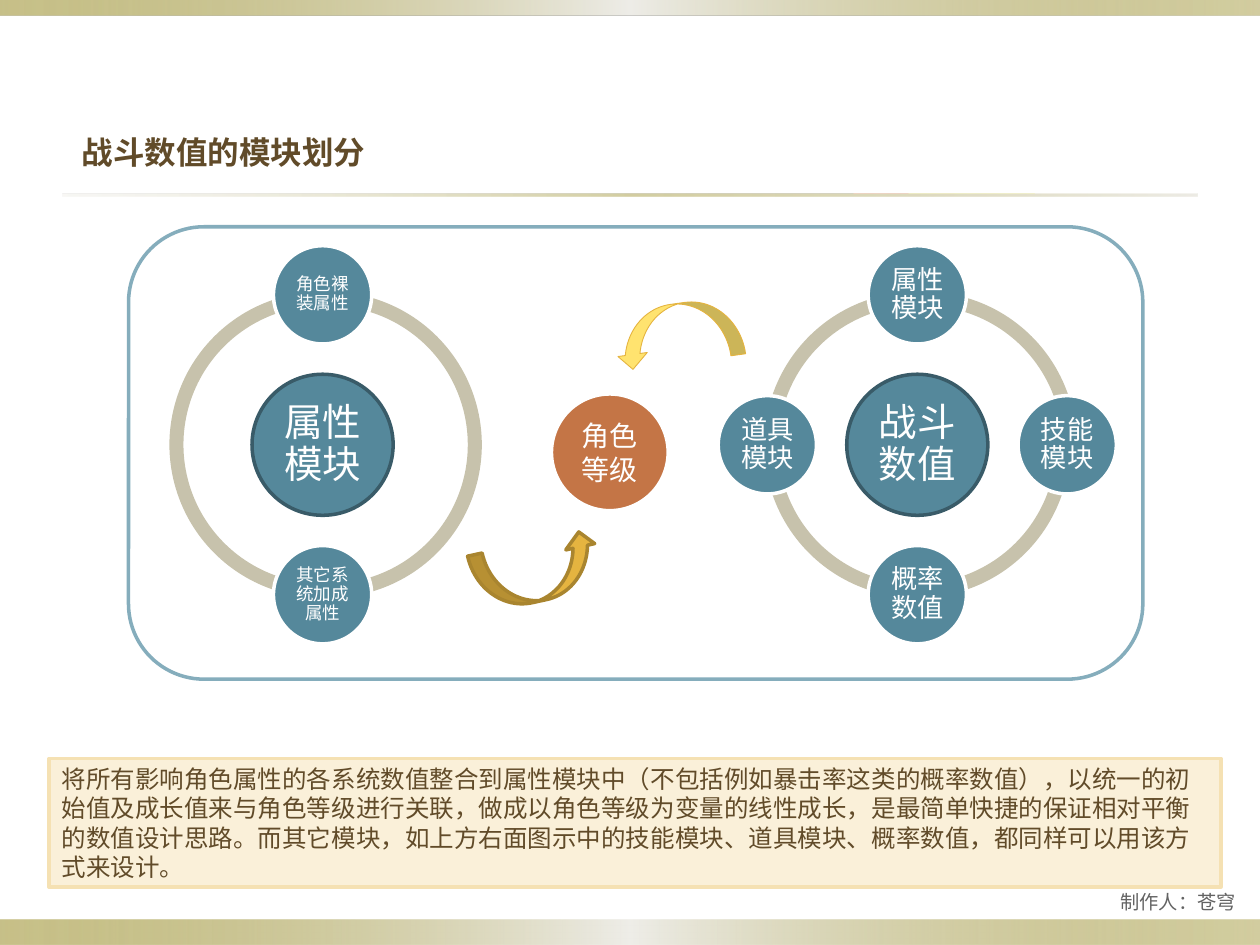
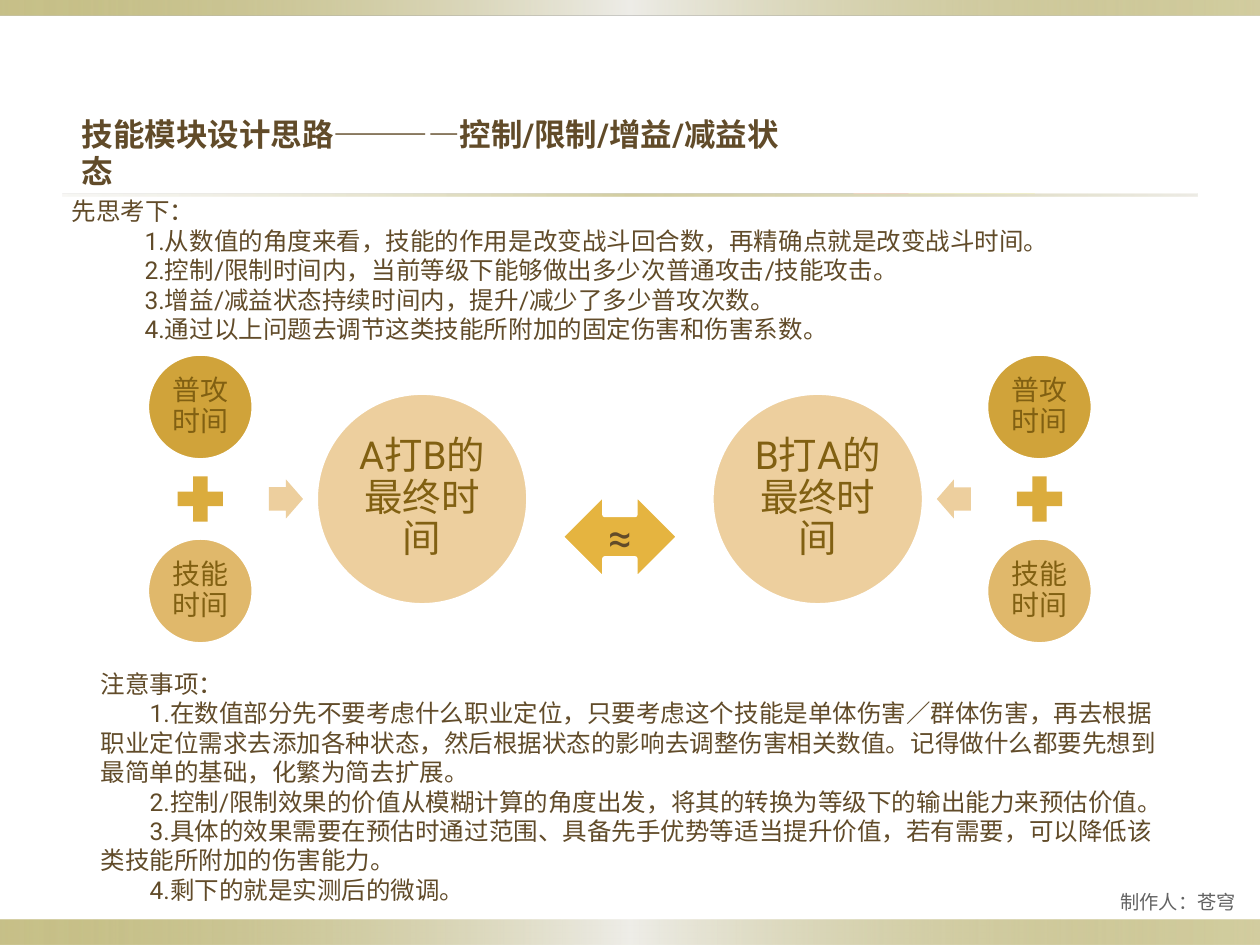
from dataclasses import dataclass
from typing import NamedTuple, Optional

from lxml import etree
from pptx import Presentation
from pptx import util as u
from pptx.dml.color import RGBColor
from pptx.enum import shapes, text
from pptx.oxml import ns

SLIDE_W, SLIDE_H = u.Inches(10), u.Inches(7.5)
COLUMNS, ROWS = 100, 75
FONT = "Roboto"

WHITE = RGBColor(0xFF, 0xFF, 0xFF)
BROWN = RGBColor(0x61, 0x4B, 0x29)
GREY = RGBColor(0x63, 0x63, 0x63)
OLIVE = RGBColor(0x91, 0x84, 0x15)
MIST = RGBColor(0xEE, 0xED, 0xE8)
SAND = RGBColor(0xDC, 0xD9, 0xCC)
TEAL = RGBColor(0x55, 0x88, 0x9B)
DARK_TEAL = RGBColor(0x39, 0x5B, 0x68)
PALE_TEAL = RGBColor(0x85, 0xAD, 0xBC)
STONE = RGBColor(0xC7, 0xC2, 0xAC)
RUST = RGBColor(0xC4, 0x75, 0x46)
GOLD = RGBColor(0xE5, 0xB4, 0x40)
DARK_GOLD = RGBColor(0xA9, 0x85, 0x2F)
LEMON = RGBColor(0xFF, 0xE3, 0x6F)
CREAM = RGBColor(0xFA, 0xF0, 0xD9)
CREAM_EDGE = RGBColor(0xF5, 0xE1, 0xB3)
OCHRE = RGBColor(0xD0, 0xA3, 0x3A)
PLUS_GOLD = RGBColor(0xDB, 0xAC, 0x3D)
TAN = RGBColor(0xE0, 0xB8, 0x6B)
PEACH = RGBColor(0xED, 0xCF, 0x9E)
UMBER = RGBColor(0x81, 0x60, 0x12)

LEFT, CENTER, RIGHT = text.PP_ALIGN.LEFT, text.PP_ALIGN.CENTER, text.PP_ALIGN.RIGHT
TOP, MIDDLE = text.MSO_ANCHOR.TOP, text.MSO_ANCHOR.MIDDLE
KIND = shapes.MSO_SHAPE


class Box(NamedTuple):
    col: float
    row: float
    cols: float
    rows: float


class Edge(NamedTuple):
    color: RGBColor
    points: float


class Stop(NamedTuple):
    share: int
    color: RGBColor
    opacity: int


class Band(NamedTuple):
    box: Box
    stops: tuple[Stop, ...]


class Satellite(NamedTuple):
    degrees: int
    label: str


@dataclass(frozen=True)
class Style:
    size: float
    color: RGBColor
    bold: bool = False
    align: text.PP_ALIGN = LEFT
    anchor: text.MSO_ANCHOR = MIDDLE
    inset_x: float = 1
    inset_y: float = 0.5
    spacing: Optional[float] = None
    margin: float = 0
    indent: float = 0


@dataclass(frozen=True)
class Orbit:
    center: float
    hub: str
    satellites: tuple[Satellite, ...]
    label_size: float


@dataclass(frozen=True)
class Fighter:
    result: str
    side: int


BAND_STOPS = (Stop(0, OLIVE, 50), Stop(50, MIST, 100), Stop(100, OLIVE, 40))
RULE_STOPS = (Stop(0, SAND, 20), Stop(50, OLIVE, 40), Stop(100, SAND, 50))
BANDS = (
    Band(Box(0, 73, COLUMNS, 2), BAND_STOPS),
    Band(Box(0, 0, COLUMNS, 1.2), BAND_STOPS),
    Band(Box(5, 15.4, 90, 0.2), RULE_STOPS),
)
TITLE = Style(18, BROWN, bold=True)
BODY = Style(14, BROWN)
HEADING = Style(14, BROWN, anchor=TOP, inset_y=0.8)
FOOTER = Style(11, GREY, align=RIGHT)

ORBIT_ROW, ORBIT_RADIUS, RING = 35.3, 11.9, 24.3
ORBITS = (
    Orbit(25.6, "属性模块", (Satellite(90, "其它系统加成属性"), Satellite(270, "角色裸装属性")), 10),
    Orbit(72.8, "战斗数值", (Satellite(0, "技能模块"), Satellite(90, "概率数值"),
                         Satellite(180, "道具模块"), Satellite(270, "属性模块")), 15),
)
UNIT_STEPS = {0: (1, 0), 90: (0, 1), 180: (-1, 0), 270: (0, -1)}

DUEL_CENTER, DUEL_ROW = 49.2, 39.6
FIGHTERS = (Fighter("A打B的最终时间", -1), Fighter("B打A的最终时间", 1))
TIMES = (("普攻时间", OCHRE, -7.3), ("技能时间", TAN, 7.3))

SUMMARY = (
    "将所有影响角色属性的各系统数值整合到属性模块中（不包括例如暴击率这类的概率数值），"
    "以统一的初始值及成长值来与角色等级进行关联，做成以角色等级为变量的线性成长，"
    "是最简单快捷的保证相对平衡的数值设计思路。而其它模块，如上方右面图示中的技能模块、"
    "道具模块、概率数值，都同样可以用该方式来设计。"
)
QUESTIONS = (
    "1.从数值的角度来看，技能的作用是改变战斗回合数，再精确点就是改变战斗时间。",
    "2.控制/限制时间内，当前等级下能够做出多少次普通攻击/技能攻击。",
    "3.增益/减益状态持续时间内，提升/减少了多少普攻次数。",
    "4.通过以上问题去调节这类技能所附加的固定伤害和伤害系数。",
)
CAUTIONS = (
    "1.在数值部分先不要考虑什么职业定位，只要考虑这个技能是单体伤害／群体伤害，"
    "再去根据职业定位需求去添加各种状态，然后根据状态的影响去调整伤害相关数值。"
    "记得做什么都要先想到最简单的基础，化繁为简去扩展。",
    "2.控制/限制效果的价值从模糊计算的角度出发，将其的转换为等级下的输出能力来预估价值。",
    "3.具体的效果需要在预估时通过范围、具备先手优势等适当提升价值，若有需要，"
    "可以降低该类技能所附加的伤害能力。",
    "4.剩下的就是实测后的微调。",
)


def cols(count: float) -> int:
    return round(SLIDE_W * count / COLUMNS)


def rows(count: float) -> int:
    return round(SLIDE_H * count / ROWS)


def place(box: Box) -> tuple[int, int, int, int]:
    return cols(box.col), rows(box.row), cols(box.cols), rows(box.rows)


def centered(col: float, row: float, width: float, height: Optional[float] = None) -> Box:
    height = width if height is None else height
    return Box(col - width / 2, row - height / 2, width, height)


def node_style(size: float, color: RGBColor, inset: float) -> Style:
    return Style(size, color, align=CENTER, inset_x=inset, inset_y=inset, spacing=0.9)


def write(frame, lines: tuple[str, ...], style: Style) -> None:
    frame.word_wrap = True
    frame.vertical_anchor = style.anchor
    frame.margin_left = frame.margin_right = cols(style.inset_x)
    frame.margin_top = frame.margin_bottom = rows(style.inset_y)
    for index, line in enumerate(lines):
        paragraph = frame.add_paragraph() if index else frame.paragraphs[0]
        paragraph.text = line
        paragraph.alignment = style.align
        if style.spacing:
            paragraph.line_spacing = style.spacing
        if index:
            properties = paragraph._p.get_or_add_pPr()
            properties.set("marL", str(cols(style.margin)))
            properties.set("indent", str(cols(style.indent)))
        paragraph.font.name = FONT
        paragraph.font.size = u.Pt(style.size)
        paragraph.font.bold = style.bold
        paragraph.font.color.rgb = style.color


def add_text(slide, box: Box, style: Style, *lines: str) -> None:
    write(slide.shapes.add_textbox(*place(box)).text_frame, lines, style)


def draw(slide, kind: shapes.MSO_SHAPE, box: Box, fill: Optional[RGBColor] = None,
         edge: Optional[Edge] = None, label: str = "", style: Style = BODY,
         turn: float = 0, adjust: tuple[float, ...] = ()):
    shape = slide.shapes.add_shape(kind, *place(box))
    shape.shadow.inherit = False
    shape.rotation = turn
    for index, value in enumerate(adjust):
        shape.adjustments[index] = value
    if fill is not None:
        shape.fill.solid()
        shape.fill.fore_color.rgb = fill
    if edge:
        shape.line.color.rgb = edge.color
        shape.line.width = u.Pt(edge.points)
    else:
        shape.line.fill.background()
    if label:
        write(shape.text_frame, (label,), style)
    return shape


def draw_band(slide, band: Band) -> None:
    shape = draw(slide, KIND.RECTANGLE, band.box)
    shape.fill.gradient()
    shape.fill.gradient_angle = 0
    stop_list = shape._element.spPr.find(ns.qn("a:gradFill")).find(ns.qn("a:gsLst"))
    for old_stop in list(stop_list):
        stop_list.remove(old_stop)
    for stop in band.stops:
        mark = etree.SubElement(stop_list, ns.qn("a:gs"), pos=str(stop.share * 1000))
        color = etree.SubElement(mark, ns.qn("a:srgbClr"), val=str(stop.color))
        etree.SubElement(color, ns.qn("a:alpha"), val=str(stop.opacity * 1000))


def start_slide(deck, title: str, title_cols: float):
    slide = deck.slides.add_slide(deck.slide_layouts[6])
    for band in BANDS:
        draw_band(slide, band)
    add_text(slide, Box(5.5, 7.8, title_cols, 8.6), TITLE, title)
    add_text(slide, Box(58.3, 70, 40.8, 3.1), FOOTER, "制作人：苍穹")
    return slide


def draw_orbit(slide, orbit: Orbit) -> None:
    angles = [satellite.degrees for satellite in orbit.satellites]
    for start, end in zip(angles, angles[1:] + angles[:1]):
        shift = 0.5 if start == 270 else 0
        draw(slide, KIND.BLOCK_ARC, centered(orbit.center + shift, ORBIT_ROW, RING), STONE,
             adjust=(start * 0.6, end * 0.6, 0.046))
    draw(slide, KIND.OVAL, centered(orbit.center, ORBIT_ROW, 11.2), TEAL,
         Edge(DARK_TEAL, 2), orbit.hub, node_style(22, WHITE, 0.3))
    for satellite in orbit.satellites:
        across, down = UNIT_STEPS[satellite.degrees]
        spot = centered(orbit.center + across * ORBIT_RADIUS, ORBIT_ROW + down * ORBIT_RADIUS, 7.8)
        draw(slide, KIND.OVAL, spot, TEAL, Edge(WHITE, 2), satellite.label,
             node_style(orbit.label_size, WHITE, 0.1))


def draw_fighter(slide, fighter: Fighter) -> None:
    def column(distance: float) -> float:
        return DUEL_CENTER + fighter.side * distance

    for label, fill, offset in TIMES:
        draw(slide, KIND.OVAL, centered(column(33.3), DUEL_ROW + offset, 8.4), fill,
             Edge(WHITE, 2), label, node_style(16, UMBER, 0.2))
    draw(slide, KIND.MATH_PLUS, centered(column(33.3), DUEL_ROW, 4.9), PLUS_GOLD)
    draw(slide, KIND.RIGHT_ARROW, centered(column(26.5), DUEL_ROW, 2.7, 3.1), PEACH,
         turn=180 if fighter.side > 0 else 0, adjust=(0.6, 0.5))
    draw(slide, KIND.OVAL, centered(column(15.7), DUEL_ROW, 16.8), PEACH,
         Edge(WHITE, 2), fighter.result, node_style(22, UMBER, 0.3))


def build_modules(deck) -> None:
    slide = start_slide(deck, "战斗数值的模块划分", 52.3)
    draw(slide, KIND.ROUNDED_RECTANGLE, Box(10.2, 18, 80.5, 35.9), WHITE, Edge(PALE_TEAL, 2))
    for orbit in ORBITS:
        draw_orbit(slide, orbit)
    draw(slide, KIND.RECTANGLE, Box(3.9, 60.2, 93, 10.2), CREAM, Edge(CREAM_EDGE, 2), SUMMARY)
    draw(slide, KIND.CURVED_UP_ARROW, Box(37.5, 43, 10.2, 4.7), GOLD,
         Edge(DARK_GOLD, 2), turn=347.7)
    draw(slide, KIND.CURVED_UP_ARROW, Box(48.7, 24.1, 10.2, 4.7), LEMON,
         Edge(GOLD, 0.5), turn=172.1)
    draw(slide, KIND.OVAL, Box(43.7, 31.2, 9.4, 9.4), RUST, Edge(WHITE, 3),
         "角色等级", Style(16, WHITE, align=CENTER))


def build_skills(deck) -> None:
    slide = start_slide(deck, "技能模块设计思路————控制/限制/增益/减益状态", 59.4)
    questions = Style(14, BROWN, anchor=TOP, inset_y=0.8, margin=5.8)
    cautions = Style(14, BROWN, anchor=TOP, inset_y=0.8, indent=3.9)
    add_text(slide, Box(4.7, 14.8, 90.6, 15.7), questions, "先思考下：", *QUESTIONS)
    add_text(slide, Box(7, 52.3, 86.7, 20.4), cautions, "注意事项：", *CAUTIONS)
    for fighter in FIGHTERS:
        draw_fighter(slide, fighter)
    draw(slide, KIND.LEFT_RIGHT_ARROW, centered(DUEL_CENTER, 42.6, 9.4, 7), GOLD,
         Edge(WHITE, 3), "≈", Style(24, BROWN, align=CENTER))


def main() -> None:
    deck = Presentation()
    deck.slide_width, deck.slide_height = SLIDE_W, SLIDE_H
    build_modules(deck)
    build_skills(deck)
    deck.save("out.pptx")


if __name__ == "__main__":
    main()
